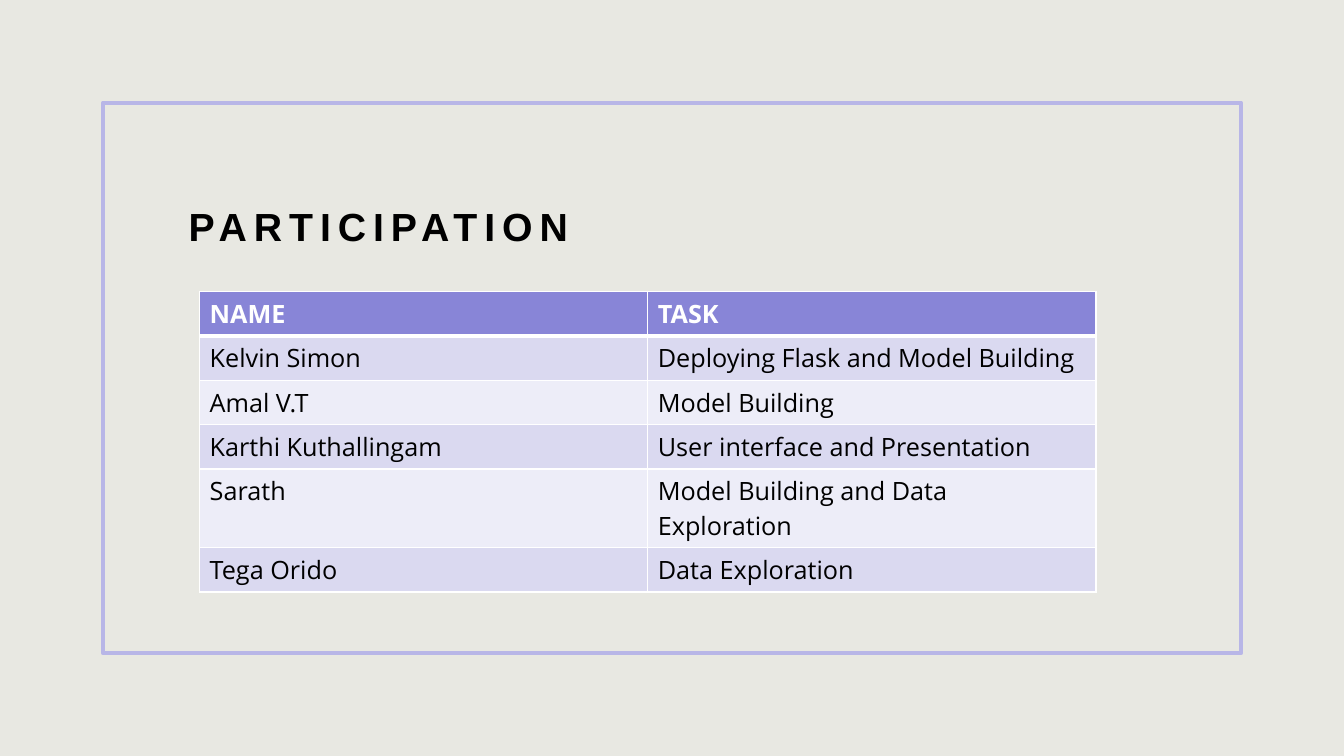
from lxml import etree
from pptx import Presentation
from pptx.dml.color import RGBColor
from pptx.enum.shapes import MSO_SHAPE
from pptx.enum.text import MSO_ANCHOR, PP_ALIGN
from pptx.oxml.ns import qn
from pptx.util import Inches, Pt

RECT = MSO_SHAPE.RECTANGLE
BOTTOM = MSO_ANCHOR.BOTTOM
LEFT = PP_ALIGN.LEFT

COLORS = {
    "background": "E8E8E2",
    "frame": "B8B6E7",
    "header": "8885D7",
    "band_dark": "DAD9F0",
    "band_light": "EDEDF8",
    "white": "FFFFFF",
    "black": "000000",
}

PARTICIPANTS = [
    ("NAME", "TASK"),
    ("Kelvin Simon", "Deploying Flask and Model Building"),
    ("Amal V.T", "Model Building"),
    ("Karthi Kuthallingam", "User interface and Presentation"),
    ("Sarath", "Model Building and Data Exploration"),
    ("Tega Orido", "Data Exploration"),
]


def rgb(name):
    return RGBColor.from_string(COLORS[name])


def write_text(tf, text, *, font, size, color, bold=False, spacing=0, line_spacing=1.0):
    p = tf.paragraphs[0]
    p.alignment = LEFT
    p.line_spacing = line_spacing
    r = p.add_run()
    r.text = text
    r.font.name = font
    r.font.size = Pt(size)
    r.font.bold = bold
    r.font.color.rgb = rgb(color)
    if spacing:
        r.font._element.set("spc", str(spacing * 100))


def add_frame(s, left, top, width, height):
    sp = s.shapes.add_shape(RECT, Inches(left), Inches(top), Inches(width), Inches(height))
    sp.shadow.inherit = False
    sp.fill.background()
    sp.line.color.rgb = rgb("frame")
    sp.line.width = Pt(3)


def set_title(s, text, left, top, width, height):
    sp = s.shapes.title
    sp.left, sp.top = Inches(left), Inches(top)
    sp.width, sp.height = Inches(width), Inches(height)
    tf = sp.text_frame
    tf.word_wrap = True
    tf.vertical_anchor = BOTTOM
    write_text(tf, text, font="Arial", size=28, color="black", bold=True,
               spacing=5, line_spacing=1.2)


def set_borders(cell, bottom_width):
    tcPr = cell._tc.get_or_add_tcPr()
    for side, width in (("L", 1), ("R", 1), ("T", 1), ("B", bottom_width)):
        ln = etree.SubElement(tcPr, qn(f"a:ln{side}"), w=str(Pt(width)))
        fill = etree.SubElement(ln, qn("a:solidFill"))
        etree.SubElement(fill, qn("a:srgbClr"), val=COLORS["white"])


def add_participants(s, rows, left, top, width, row_height):
    frame = s.shapes.add_table(len(rows), len(rows[0]), Inches(left), Inches(top),
                               Inches(width), Inches(row_height * len(rows)))
    table = frame.table
    for i, row in enumerate(rows):
        header = i == 0
        band = "header" if header else "band_dark" if i % 2 else "band_light"
        for j, text in enumerate(row):
            cell = table.cell(i, j)
            set_borders(cell, 3 if i == 0 else 1)
            if i == 1:
                cell._tc.tcPr.find(qn("a:lnT")).set("w", str(Pt(3)))
            cell.fill.solid()
            cell.fill.fore_color.rgb = rgb(band)
            write_text(cell.text_frame, text, font="Open Sans", size=18,
                       color="white" if header else "black", bold=header)


def main():
    prs = Presentation()
    prs.slide_width, prs.slide_height = Inches(13.33), Inches(7.5)
    s = prs.slides.add_slide(prs.slide_layouts[5])
    s.background.fill.solid()
    s.background.fill.fore_color.rgb = rgb("background")
    add_frame(s, 1.02, 1.02, 11.29, 5.46)
    set_title(s, "PARTICIPATION", 1.77, 1.35, 9.82, 1.17)
    add_participants(s, PARTICIPANTS, 1.98, 2.89, 8.89, 0.41)
    prs.save("out.pptx")


main()
